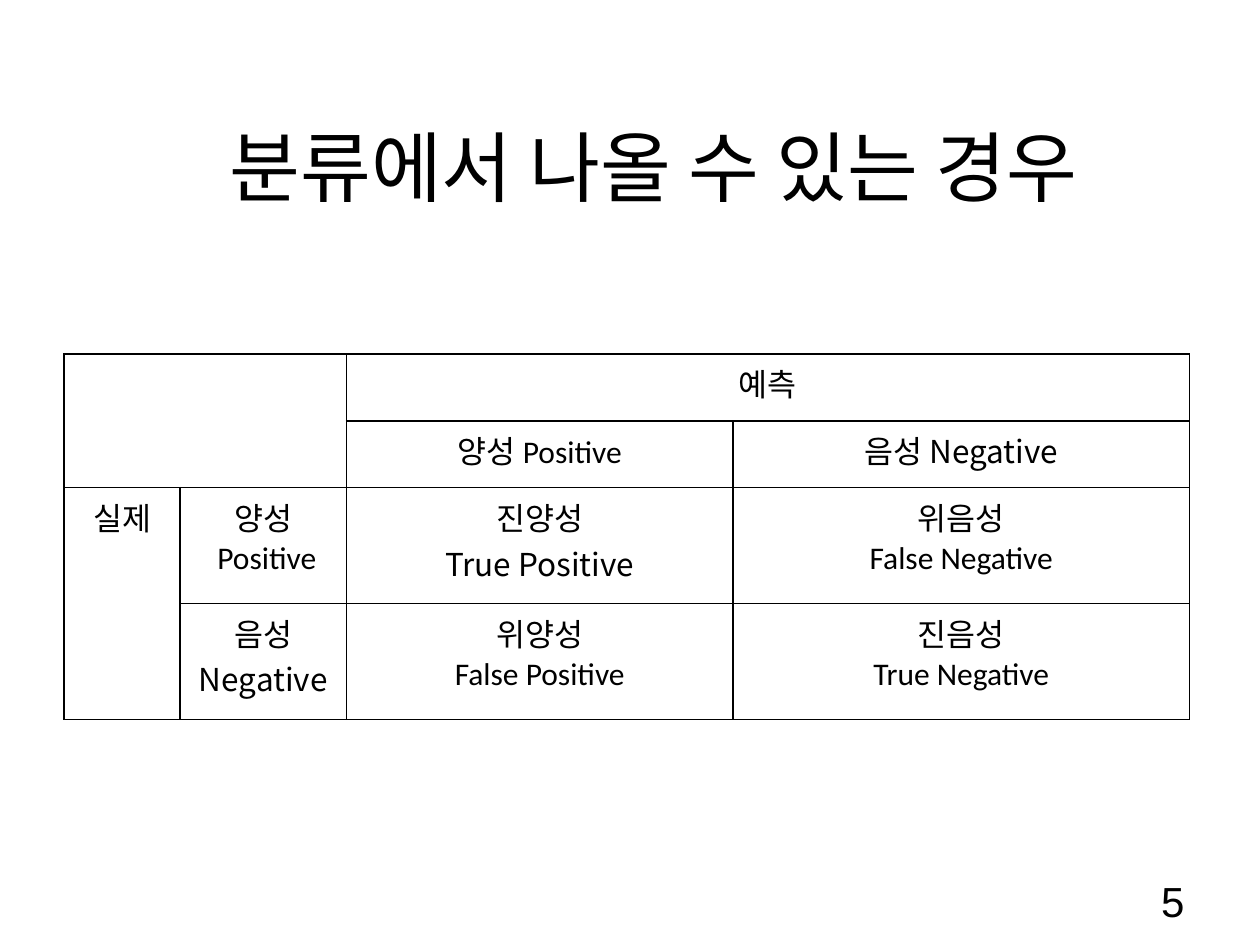
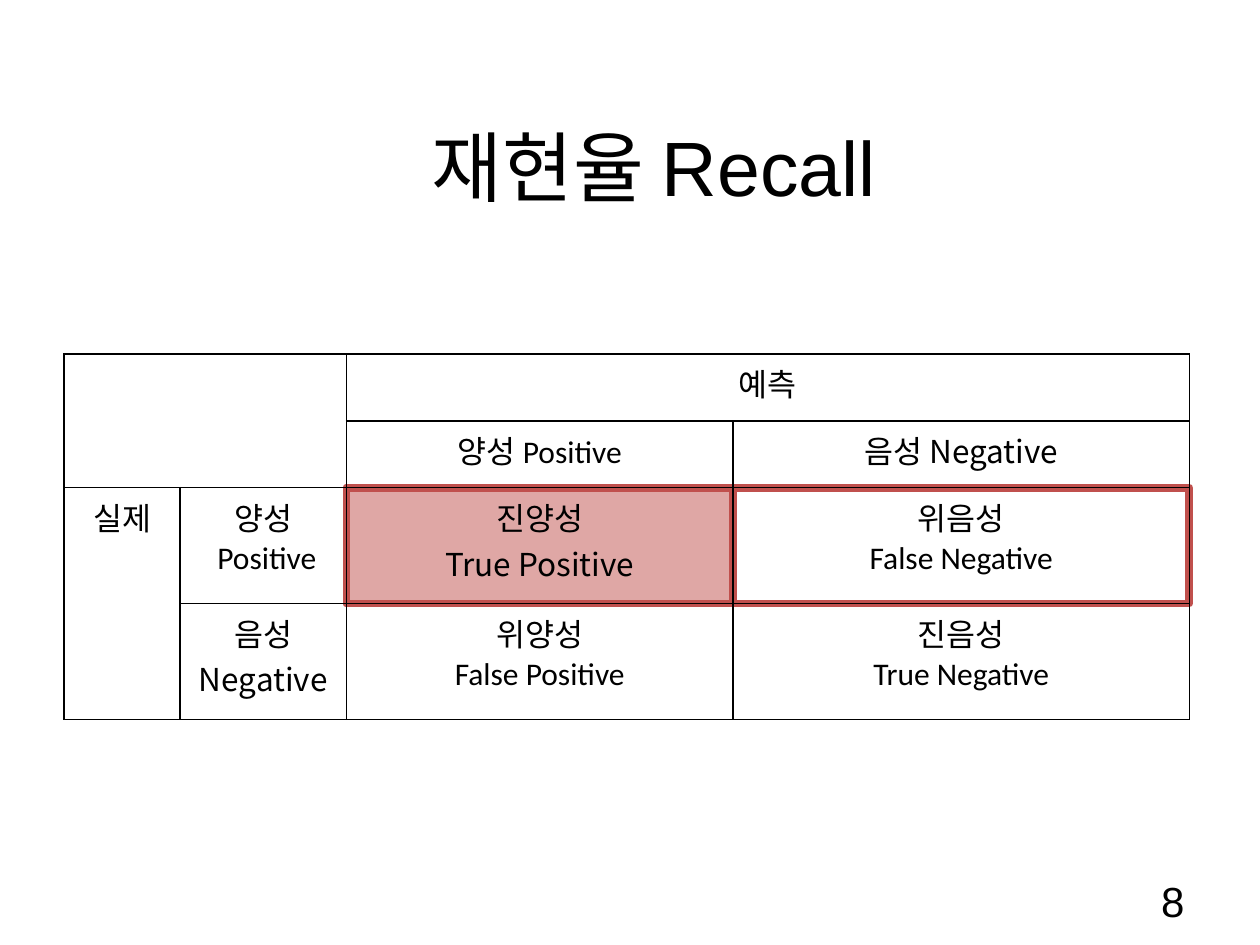
import pptx
import pptx.dml.color
import pptx.enum.shapes
import pptx.enum.text
import pptx.oxml
import pptx.oxml.ns
import pptx.util
from lxml import etree

COLORS = {"text": "000000", "border": "000000", "highlight": "C0504D"}
BODY, HEADING, KOREAN = "Calibri", "Arial", "Noto Sans CJK KR"
SLIDE_WIDTH, SLIDE_HEIGHT = 10, 7.5
TITLE_AREA = (0.094, 0.068, 0.85, 0.215)
NUMBER_AREA = (0.717, 0.927, 0.233, 0.053)
TABLE_LEFT, TABLE_TOP = 0.51, 2.81
COLUMNS = [0.92, 1.32, 3.07, 3.62]
ROWS = [0.53, 0.53, 0.92, 0.92]
MERGES = [(0, 0, 1, 1), (0, 2, 0, 3), (2, 0, 3, 0)]
CELLS = {
    (0, 2): [("예측", BODY)],
    (1, 2): [("양성 Positive", BODY)],
    (1, 3): [("음성 Negative", KOREAN)],
    (2, 0): [("실제", BODY)],
    (2, 1): [("양성", BODY), (" Positive", BODY)],
    (2, 2): [("진양성", BODY), ("True Positive", KOREAN)],
    (2, 3): [("위음성", BODY), ("False Negative", BODY)],
    (3, 1): [("음성", BODY), ("Negative", KOREAN)],
    (3, 2): [("위양성", BODY), ("False Positive", BODY)],
    (3, 3): [("진음성", BODY), ("True Negative", BODY)],
}


def rgb(name):
    """Return the named colour."""
    return pptx.dml.color.RGBColor.from_string(COLORS[name])


def add_xml(parent, tag, **attributes):
    """Append a drawing element to its parent."""
    return etree.SubElement(parent, pptx.oxml.ns.qn(tag), attributes)


def share_box(area):
    """Turn shares of the slide into left, top, width and height."""
    scales = (SLIDE_WIDTH, SLIDE_HEIGHT) * 2
    return [pptx.util.Inches(share * scale) for share, scale in zip(area, scales)]


def grid_box(row, column, column_span=1):
    """Return the box of neighbouring table cells in one row."""
    lengths = (TABLE_LEFT + sum(COLUMNS[:column]), TABLE_TOP + sum(ROWS[:row]),
               sum(COLUMNS[column:column + column_span]), ROWS[row])
    return [pptx.util.Inches(length) for length in lengths]


def write_text(paragraph, text, size=18, font=BODY, align="CENTER"):
    """Write one formatted run into a paragraph."""
    paragraph.alignment = getattr(pptx.enum.text.PP_ALIGN, align)
    run = paragraph.add_run()
    run.text = text
    run.font.size = pptx.util.Pt(size)
    run.font.name = font
    run.font.color.rgb = rgb("text")
    add_xml(run.font._element, "a:ea", typeface=KOREAN)


def place_text(shape, area, text, **text_format):
    """Position a text shape and fill it with middle-anchored text."""
    shape.left, shape.top, shape.width, shape.height = share_box(area)
    frame = shape.text_frame
    frame.word_wrap = True
    frame.vertical_anchor = pptx.enum.text.MSO_ANCHOR.MIDDLE
    write_text(frame.paragraphs[0], text, **text_format)


def add_base_slide(presentation, title, number):
    """Add a slide with its title and page number."""
    slide = presentation.slides.add_slide(presentation.slide_layouts[5])
    place_text(slide.shapes.title, TITLE_AREA, title, size=44, font=HEADING)
    number_box = slide.shapes.add_textbox(*share_box(NUMBER_AREA))
    place_text(number_box, NUMBER_AREA, number, size=24, font=HEADING, align="RIGHT")
    return slide


def add_highlight(slide, row, column, column_span=1, filled=False):
    """Frame table cells in red, with an optional half-transparent fill."""
    shape = slide.shapes.add_shape(pptx.enum.shapes.MSO_SHAPE.RECTANGLE,
                                   *grid_box(row, column, column_span))
    shape.shadow.inherit = False
    shape.line.color.rgb = rgb("highlight")
    shape.line.width = pptx.util.Pt(4.5)
    add_xml(shape.line._get_or_add_ln(), "a:round")
    if filled:
        shape.fill.solid()
        shape.fill.fore_color.rgb = rgb("highlight")
        color = shape._element.spPr.find(".//" + pptx.oxml.ns.qn("a:srgbClr"))
        add_xml(color, "a:alpha", val="50000")
    else:
        shape.fill.background()


def style_cell(cell):
    """Give a cell thin borders and no fill."""
    properties = cell._tc.get_or_add_tcPr()
    for side in ("L", "R", "T", "B"):
        border = add_xml(properties, f"a:ln{side}", w=str(pptx.util.Pt(1)))
        fill = add_xml(border, "a:solidFill")
        add_xml(fill, "a:srgbClr", val=COLORS["border"])
    cell.fill.background()


def add_confusion_table(slide):
    """Add the table of actual against predicted classes."""
    box = [pptx.util.Inches(length)
           for length in (TABLE_LEFT, TABLE_TOP, sum(COLUMNS), sum(ROWS))]
    table = slide.shapes.add_table(len(ROWS), len(COLUMNS), *box).table
    table.first_row = table.horz_banding = False
    for column, width in zip(table.columns, COLUMNS):
        column.width = pptx.util.Inches(width)
    for row, height in zip(table.rows, ROWS):
        row.height = pptx.util.Inches(height)
    for cell in table.iter_cells():
        style_cell(cell)
    for top, left, bottom, right in MERGES:
        table.cell(top, left).merge(table.cell(bottom, right))
    for position, lines in CELLS.items():
        frame = table.cell(*position).text_frame
        for index, (text, font) in enumerate(lines):
            paragraph = frame.add_paragraph() if index else frame.paragraphs[0]
            write_text(paragraph, text, font=font)


def main():
    """Build and save the presentation."""
    presentation = pptx.Presentation()
    presentation.slide_width = pptx.util.Inches(SLIDE_WIDTH)
    presentation.slide_height = pptx.util.Inches(SLIDE_HEIGHT)

    cases = add_base_slide(presentation, "분류에서 나올 수 있는 경우", "5")
    add_confusion_table(cases)

    recall = add_base_slide(presentation, "재현율 Recall", "8")
    add_highlight(recall, row=2, column=2, filled=True)
    add_highlight(recall, row=2, column=2, column_span=2)
    add_confusion_table(recall)

    presentation.save("out.pptx")


if __name__ == "__main__":
    main()
